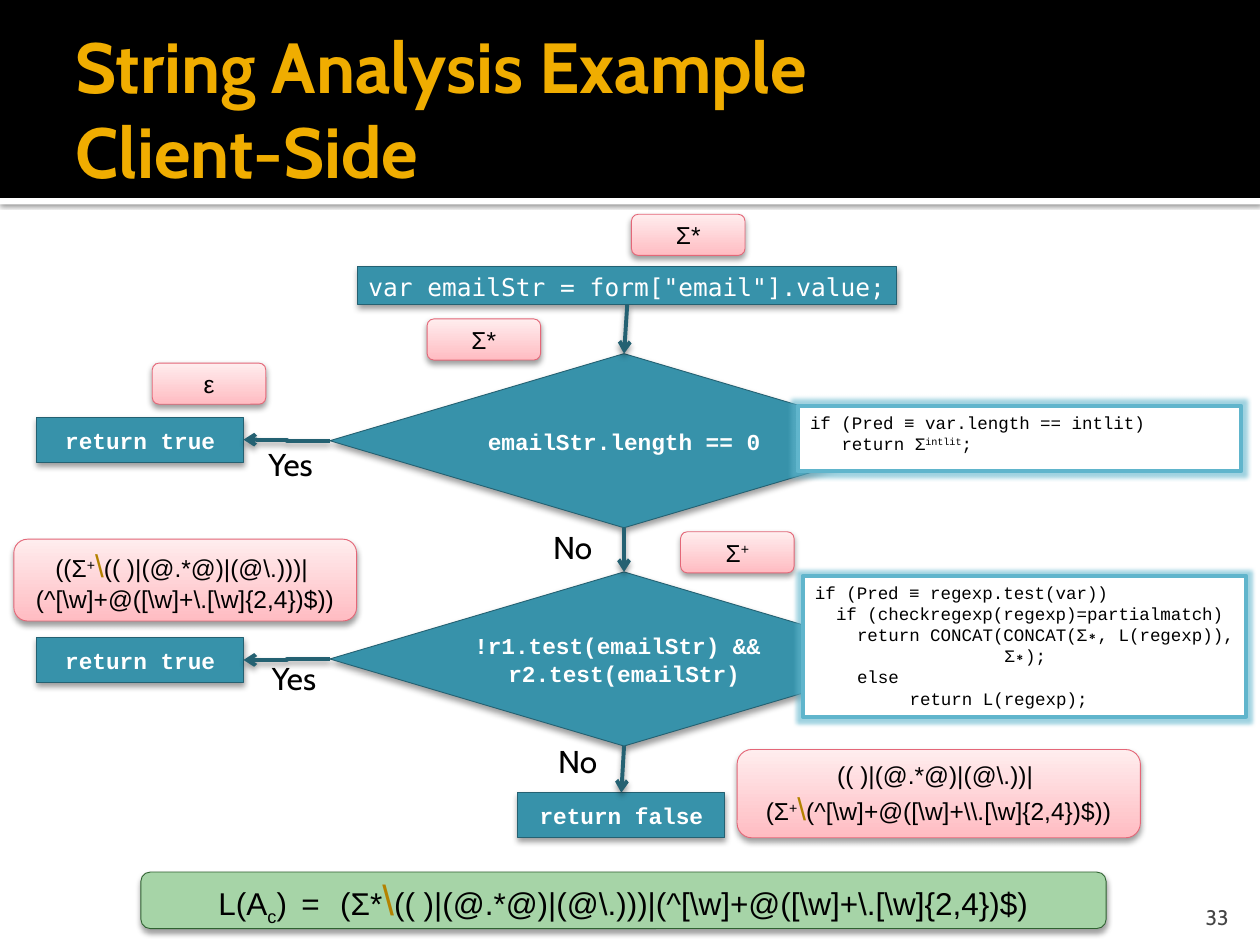
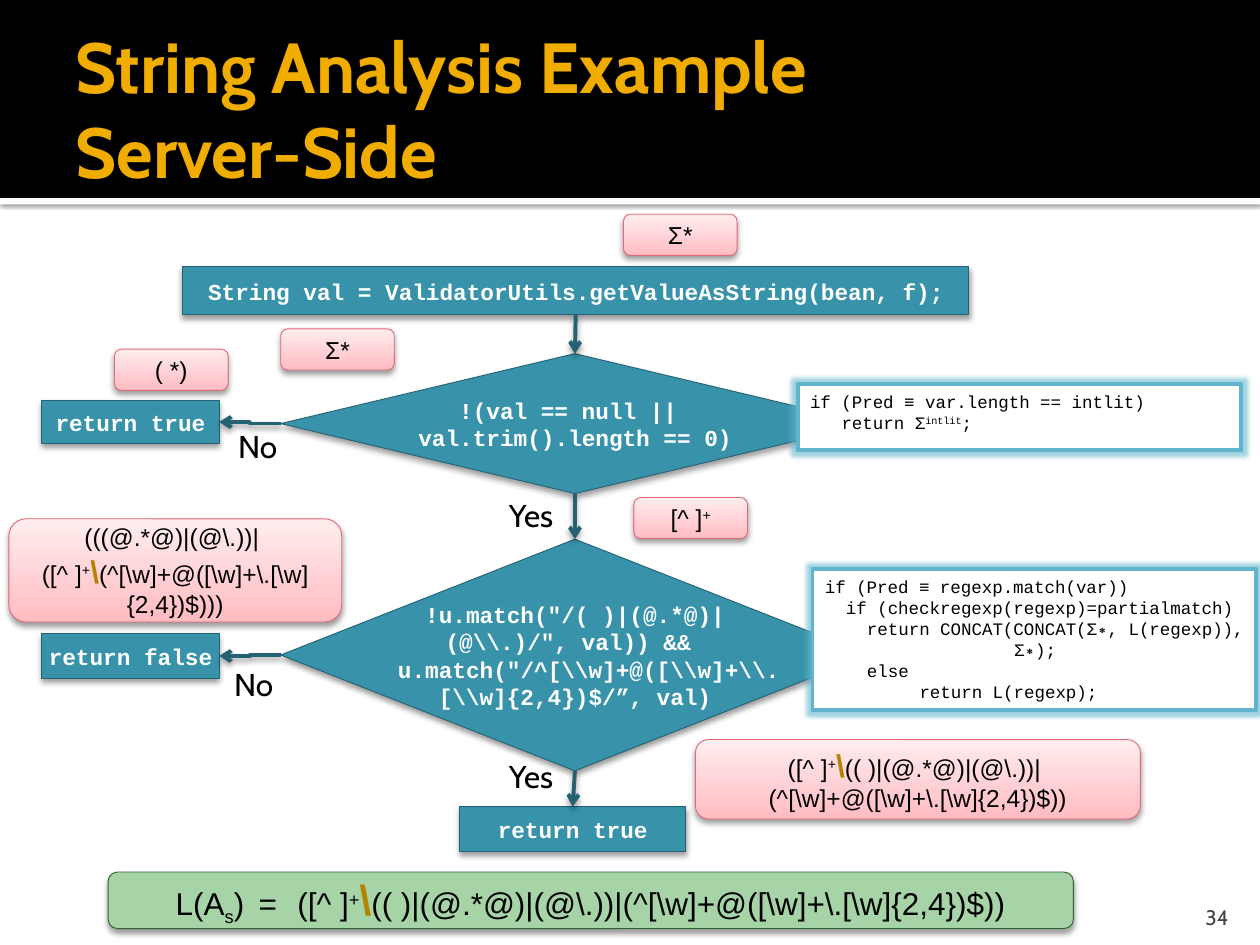
from dataclasses import dataclass
from lxml.etree import SubElement
from pptx import Presentation
from pptx.dml.color import RGBColor
from pptx.enum.shapes import MSO_CONNECTOR, MSO_SHAPE
from pptx.enum.text import MSO_ANCHOR, MSO_AUTO_SIZE, PP_ALIGN
from pptx.oxml.ns import qn
from pptx.util import Cm, Pt


@dataclass(frozen=True)
class Theme:
    black: str = "000000"
    white: str = "FFFFFF"
    gold: str = "F0AD00"
    cut: str = "B48200"
    gray: str = "454545"
    teal: str = "3792AA"
    edge: str = "246172"
    rose: tuple = ("FFBCC2", "FFEDEE")
    red: str = "E46778"
    mint: str = "A6D4A7"
    green: str = "2F6231"
    sky: str = "60B5CC"
    head: float = 40.5
    big: int = 18
    mid: int = 14
    node: int = 13
    page: int = 12
    small: int = 10
    sans: str = "Cabin"
    plain: str = "Arial"
    mono: str = "Courier New"
    wide: str = "DejaVu Sans Mono"


T = Theme()
PLUS = ("sup", "+")
CUT = ("cut", "\\")
FAT = ("fat", "\\")
EQ = ("gap", " = ")
MAIL = r"(^[\w]+@([\w]+\.[\w]{2,4})$)"
PILL = (2.29, 0.83)
TAGS = {"Yes": (1.42, 1.02), "No": (1.3, 1.02)}
WIDE = 11.86
LENGTH = ["if (Pred ≡ var.length == intlit)", (3, ["return Σ", ("sup", "intlit"), ";"])]


def match(call):
    return [
        f"if (Pred ≡ regexp.{call}(var))",
        (2, "if (checkregexp(regexp)=partialmatch)"),
        (4, "return CONCAT(CONCAT(Σ∗, L(regexp)),"),
        (18, "Σ∗);"),
        (4, "else"),
        (9, "return L(regexp);"),
    ]


SLIDES = [
    dict(
        title="Client-Side", page="33",
        first=dict(face=T.wide, size=T.mid, bold=False),
        nodes=dict(
            start=((7.21, 5.38, 10.87, 0.76), ['var emailStr = form["email"].value;']),
            test1=((6.65, 7.13, WIDE, 3.51), ["emailStr.length == 0"]),
            test2=((6.65, 11.53, WIDE, 3.51), ["!r1.test(emailStr) && ", "r2.test(emailStr)"]),
            out1=((0.74, 8.41, 4.17, 0.91), ["return true"]),
            out2=((0.74, 12.85, 4.17, 0.91), ["return true"]),
            end=((10.44, 15.98, 4.17, 0.91), ["return false"]),
        ),
        sets=[
            ((12.73, 4.32, *PILL), ["Σ*"]),
            ((8.61, 6.43, *PILL), ["Σ*"]),
            ((13.72, 10.72, *PILL), [["Σ", PLUS]]),
            ((3.07, 7.32, *PILL), ["ε"]),
            ((14.86, 15.11, 8.13, 1.78), [
                r"(( )|(@.*@)|(@\.))| ",
                ["(Σ", PLUS, CUT, r"(^[\w]+@([\w]+\\.[\w]{2,4})$))"]]),
            ((0.28, 10.87, 6.91, 1.65), [
                ["((Σ", PLUS, CUT, r"(( )|(@.*@)|(@\.)))| "], MAIL + ")"]),
        ],
        tags=[("Yes", 5.16, 8.84), ("Yes", 5.23, 13.16), ("No", 10.9, 10.52), ("No", 11, 14.83)],
        rules=[((16.08, 8.18, 8.94, 1.32), LENGTH), ((16.18, 11.61, 8.94, 2.84), match("test"))],
        left=2.84,
        total=["L(A", ("sub", "c"), ")", EQ, "(Σ*", CUT, r"(( )|(@.*@)|(@\.)))|" + MAIL],
    ),
    dict(
        title="Server-Side", page="34", first={},
        nodes=dict(
            start=((3.68, 5.38, 15.85, 0.97),
                   ["String val = ValidatorUtils.getValueAsString(bean, f);"]),
            test1=((5.66, 7.13, WIDE, 2.82), ["!(val == null || ", "val.trim().length == 0)"]),
            test2=((5.66, 10.87, WIDE, 4.67), [
                '!u.match("/( )|(@.*@)|', r'(@\\.)/", val)) && ',
                (2, r'u.match("/^[\\w]+@([\\w]+\\.'), r"[\\w]{2,4})$/”, val)"]),
            out1=((0.84, 8.08, 3.58, 0.86), ["return true"]),
            out2=((0.84, 12.78, 3.58, 0.89), ["return false"]),
            end=((9.27, 16.26, 4.55, 0.91), ["return true"]),
        ),
        sets=[
            ((12.57, 4.32, *PILL), ["Σ*"]),
            ((5.66, 6.63, *PILL), ["Σ*"]),
            ((12.78, 10.03, *PILL), [["[^ ]", PLUS]]),
            ((2.31, 7.04, *PILL), ["( *)"]),
            ((14.02, 14.91, 8.97, 1.6), [
                ["([^ ]", PLUS, FAT, r"(( )|(@.*@)|(@\.))| "], MAIL + ")"]),
            ((0.18, 10.46, 6.71, 2.08), [
                r"(((@.*@)|(@\.))| ", ["([^ ]", PLUS, FAT, MAIL + "))"]]),
        ],
        tags=[("No", 4.55, 8.48), ("No", 4.47, 13.28), ("Yes", 10.01, 9.86), ("Yes", 10.01, 15.14)],
        rules=[((16.08, 7.75, 8.94, 1.32), LENGTH), ((16.38, 11.48, 8.94, 2.84), match("match"))],
        left=2.18,
        total=["L(A", ("sub", "s"), ")", EQ, "([^ ]", PLUS, FAT,
               r"(( )|(@.*@)|(@\.))|" + MAIL + ")"],
    ),
]

LINKS = [
    ("test1", 1, "out1", 3), ("test2", 1, "out2", 3), ("start", 2, "test1", 0),
    ("test1", 2, "test2", 0), ("test2", 2, "end", 0),
]


def hue(code):
    return RGBColor.from_string(code)


def put(shape, lines, size=T.mid, face=T.plain, color=T.black, bold=False,
        align=PP_ALIGN.CENTER, anchor=MSO_ANCHOR.MIDDLE, wrap=True,
        inset=(0.25, 0.13, 0.25, 0.13), fit=MSO_AUTO_SIZE.NONE):
    frame = shape.text_frame
    frame.word_wrap = wrap
    frame.auto_size = fit
    frame.vertical_anchor = anchor
    frame.margin_left, frame.margin_top, frame.margin_right, frame.margin_bottom = map(Cm, inset)
    for row, line in enumerate(lines):
        para = frame.add_paragraph() if row else frame.paragraphs[0]
        para.alignment = align
        if isinstance(line, tuple):
            step, line = line
            props = para._p.get_or_add_pPr()
            props.set("marL", str(Cm(step * size * 0.0212)))
            props.set("indent", "0")
        for part in [line] if isinstance(line, str) else line:
            mark, text = ("", part) if isinstance(part, str) else part
            if mark == "break":
                para.add_line_break()
                continue
            run = para.add_run()
            run.text = text
            cut = mark in ("cut", "fat")
            font = run.font
            font.name = face
            font.size = Pt(size * 4 // 3 if cut else size)
            font.bold = bold or mark == "fat"
            font.color.rgb = hue(T.cut if cut else color)
            props = run._r.get_or_add_rPr()
            if mark in ("sup", "sub"):
                props.set("baseline", "30000" if mark == "sup" else "-25000")
            if mark == "gap":
                props.set("spc", "330")


def glow(item, kind, color, alpha, **sizes):
    props = item._element.spPr
    effects = props.find(qn("a:effectLst"))
    if effects is None:
        effects = SubElement(props, qn("a:effectLst"))
    effect = SubElement(effects, qn("a:" + kind), {k: str(v) for k, v in sizes.items()})
    tint = SubElement(effect, qn("a:srgbClr"), val=color)
    SubElement(tint, qn("a:alpha"), val=str(alpha * 1000))


def shade(item, blur=3.5, dist=2, alpha=38):
    glow(item, "outerShdw", T.black, alpha, blurRad=Pt(blur), dist=Pt(dist),
         dir=5400000, algn="t", rotWithShape=0)


def draw(slide, kind, area, fill, edge=None, width=0.5):
    shape = slide.shapes.add_shape(kind, *map(Cm, area))
    shape.shadow.inherit = False
    if isinstance(fill, tuple):
        shape.fill.gradient()
        shape.fill.gradient_angle = 90
        for stop, color in zip(shape.fill.gradient_stops, fill):
            stop.color.rgb = hue(color)
    else:
        shape.fill.solid()
        shape.fill.fore_color.rgb = hue(fill)
    if edge:
        shape.line.color.rgb = hue(edge)
        shape.line.width = Pt(width)
    else:
        shape.line.fill.background()
    return shape


def link(slide, start, exit, end, entry):
    kind = MSO_CONNECTOR.ELBOW if exit == 1 else MSO_CONNECTOR.STRAIGHT
    line = slide.shapes.add_connector(kind, 0, 0, 0, 0)
    line.begin_connect(start, exit)
    line.end_connect(end, entry)
    line.line.color.rgb = hue(T.edge)
    line.line.width = Pt(2.25)
    SubElement(line.line._get_or_add_ln(), qn("a:tailEnd"), type="arrow")
    shade(line)


def label(slide, area, text, **style):
    put(slide.shapes.add_textbox(*map(Cm, area)), [text], face=T.sans, **style)


def bands(deck, slide):
    strip = draw(slide, MSO_SHAPE.RECTANGLE, (0, 3.99, 25.4, 0.13), T.white)
    shade(strip, 2.5, 0.8, 60)
    band = draw(slide, MSO_SHAPE.RECTANGLE, (0, 0, 25.4, 3.99), T.black)
    tree = deck.slide_master.shapes._spTree
    for spot, shape in enumerate((strip, band), 2):
        tree.insert(spot, shape._element)


def build(slide, data):
    title = slide.shapes.title
    title.left, title.top, title.width, title.height = map(Cm, (1.27, 0.43, 22.86, 3.48))
    put(title, [["String Analysis Example ", ("break", ""), data["title"]]], size=T.head,
        face=T.sans, color=T.gold, bold=True, align=PP_ALIGN.LEFT,
        inset=(0.25, 0.13, 0.13, 0.13))
    label(slide, (22.99, 17.98, 2.03, 0.76), data["page"], size=T.page, color=T.gray,
          align=PP_ALIGN.RIGHT, anchor=MSO_ANCHOR.BOTTOM, inset=(0.25, 0.13, 0.25, 0))

    nodes = {}
    for name, (area, lines) in data["nodes"].items():
        kind = MSO_SHAPE.DIAMOND if name.startswith("test") else MSO_SHAPE.RECTANGLE
        node = nodes[name] = draw(slide, kind, area, T.teal, T.edge)
        shade(node)
        style = dict(size=T.node, face=T.mono, bold=True)
        if name == "start":
            style.update(data["first"])
        put(node, lines, color=T.white, wrap=False, inset=(0.25, 0.15, 0.25, 0.13), **style)
    for start, exit, end, entry in LINKS:
        link(slide, nodes[start], exit, nodes[end], entry)

    for area, lines in data["sets"]:
        pill = draw(slide, MSO_SHAPE.ROUNDED_RECTANGLE, area, T.rose, T.red)
        shade(pill)
        put(pill, lines)
    total = draw(slide, MSO_SHAPE.ROUNDED_RECTANGLE, (data["left"], 17.58, 19.46, 1.14),
                 T.mint, T.green)
    shade(total)
    put(total, [data["total"]], size=T.big)

    for text, x, y in data["tags"]:
        label(slide, (x, y, *TAGS[text]), text, size=T.big, align=PP_ALIGN.LEFT,
              anchor=MSO_ANCHOR.TOP, wrap=False, fit=MSO_AUTO_SIZE.SHAPE_TO_FIT_TEXT)
    for area, lines in data["rules"]:
        rule = draw(slide, MSO_SHAPE.ROUNDED_RECTANGLE, area, T.white, T.sky, 2.25)
        rule.adjustments[0] = 0
        glow(rule, "glow", T.sky, 60, rad=Pt(5))
        put(rule, lines, size=T.small, face=T.mono, align=PP_ALIGN.LEFT,
            anchor=MSO_ANCHOR.TOP, inset=(0.25, 0.13, 0, 0))


def main():
    deck = Presentation()
    deck.slide_width, deck.slide_height = Cm(25.4), Cm(19.05)
    for data in SLIDES:
        slide = deck.slides.add_slide(deck.slide_layouts[5])
        if data is SLIDES[0]:
            bands(deck, slide)
        build(slide, data)
    deck.save("out.pptx")


if __name__ == "__main__":
    main()
